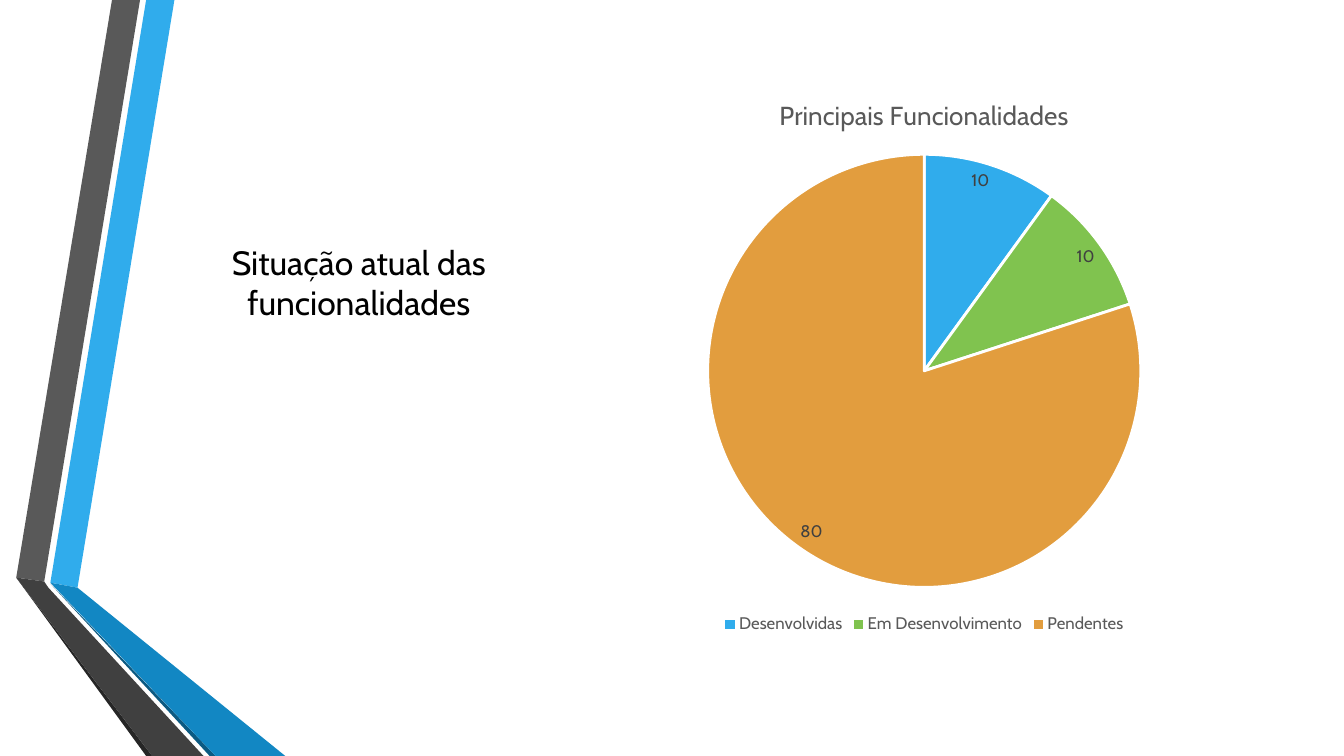
from dataclasses import dataclass

from lxml import etree
from pptx import Presentation
from pptx import util as u
from pptx.chart import data as cd
from pptx.dml.color import RGBColor
from pptx.enum import chart as ec, text as et
from pptx.oxml import ns

Pt = u.Pt
FONT = "Cabin"
BLACK = RGBColor(0x00, 0x00, 0x00)
WHITE = RGBColor(0xFF, 0xFF, 0xFF)
GREY = RGBColor(0x59, 0x59, 0x59)
COAL = RGBColor(0x40, 0x40, 0x40)
SOOT = RGBColor(0x26, 0x26, 0x26)
BLUE = RGBColor(0x30, 0xAC, 0xEC)
DEEP = RGBColor(0x12, 0x87, 0xC3)
NAVY = RGBColor(0x0C, 0x5A, 0x82)
GREEN = RGBColor(0x80, 0xC3, 0x4F)
AMBER = RGBColor(0xE2, 0x9D, 0x3E)


@dataclass
class Band:
    fill: RGBColor
    pts: list[tuple[float, float]]


@dataclass
class Slice:
    name: str
    value: int
    fill: RGBColor


BANDS = [
    Band(BLUE, [(36, 416.2), (55.4, 419.8), (124.6, 0), (104.4, 0)]),
    Band(GREY, [(100, 0), (80, 0), (11.6, 412.6), (31.6, 415.4)]),
    Band(SOOT, [(11.6, 412.6), (104.4, 540), (108.7, 540)]),
    Band(NAVY, [(36, 416.9), (149.8, 540), (154.1, 540)]),
    Band(DEEP, [(36, 416.2), (154.1, 540), (203.8, 540), (55.4, 419.8)]),
    Band(COAL, [(145.4, 540), (34.6, 419.8), (31.6, 415.4), (11.6, 412.6),
                (108.7, 540)]),
]
SLICES = [
    Slice("Desenvolvidas", 10, BLUE),
    Slice("Em Desenvolvimento", 10, GREEN),
    Slice("Pendentes", 80, AMBER),
]
HEAD = "Principais Funcionalidades"


def style(font, size: float, color: RGBColor) -> None:
    font.name = FONT
    font.size = Pt(size)
    font.bold = False
    font.color.rgb = color


def add_run(para, words: str, size: float, color: RGBColor) -> None:
    run = para.add_run()
    run.text = words
    style(run.font, size, color)


def draw_band(slide, band: Band) -> None:
    pts = [(Pt(x), Pt(y)) for x, y in band.pts]
    pen = slide.shapes.build_freeform(*pts[0])
    pen.add_line_segments(pts[1:], close=True)
    shape = pen.convert_to_shape()
    shape.shadow.inherit = False
    shape.fill.solid()
    shape.fill.fore_color.rgb = band.fill
    shape.line.fill.background()


def draw_title(slide) -> None:
    box = slide.shapes.add_textbox(Pt(116.6), Pt(126), Pt(279.4), Pt(108))
    frame = box.text_frame
    frame.word_wrap = True
    frame.vertical_anchor = et.MSO_ANCHOR.BOTTOM
    para = frame.paragraphs[0]
    para.alignment = et.PP_ALIGN.CENTER
    add_run(para, "Situação atual das funcionalidades", 24, BLACK)


def place_plot(chart, **parts: float) -> None:
    """Fix the plot area, given as fractions of the chart."""
    area = chart.plots._plotArea
    for old in area.findall(ns.qn("c:layout")):
        area.remove(old)
    layout = etree.Element(ns.qn("c:layout"))
    area.insert(0, layout)
    manual = etree.SubElement(layout, ns.qn("c:manualLayout"))
    rows = {"layoutTarget": "inner", "xMode": "edge", "yMode": "edge", **parts}
    for tag, val in rows.items():
        etree.SubElement(manual, ns.qn(f"c:{tag}")).set("val", str(val))


def draw_pie(slide) -> None:
    data = cd.CategoryChartData()
    data.categories = [s.name for s in SLICES]
    data.add_series(HEAD, [s.value for s in SLICES])
    chart = slide.shapes.add_chart(
        ec.XL_CHART_TYPE.PIE, Pt(414.7), Pt(54), Pt(491), Pt(401.8), data).chart
    style(chart.font, 10, BLACK)

    # Heading and legend
    chart.has_title = True
    add_run(chart.chart_title.text_frame.paragraphs[0], HEAD, 18.6, GREY)
    chart.chart_title.include_in_layout = False
    chart.has_legend = True
    chart.legend.position = ec.XL_LEGEND_POSITION.BOTTOM
    chart.legend.include_in_layout = False
    style(chart.legend.font, 12, GREY)

    # Slices and their values
    plot = chart.plots[0]
    plot.vary_by_categories = True
    for i, item in enumerate(SLICES):
        form = plot.series[0].points[i].format
        form.fill.solid()
        form.fill.fore_color.rgb = item.fill
        form.line.color.rgb = WHITE
        form.line.width = Pt(2)
    plot.has_data_labels = True
    labels = plot.data_labels
    labels.show_value = True
    labels.show_percentage = False
    labels.position = ec.XL_LABEL_POSITION.INSIDE_END
    style(labels.font, 12, COAL)
    place_plot(chart, x=0.18, y=0.14, w=0.64, h=0.77)


deck = Presentation()
deck.slide_width, deck.slide_height = Pt(960), Pt(540)
page = deck.slides.add_slide(deck.slide_layouts[6])

# Folded ribbons on the left
for band in BANDS:
    draw_band(page, band)

# Title and pie
draw_title(page)
draw_pie(page)

deck.save("out.pptx")
